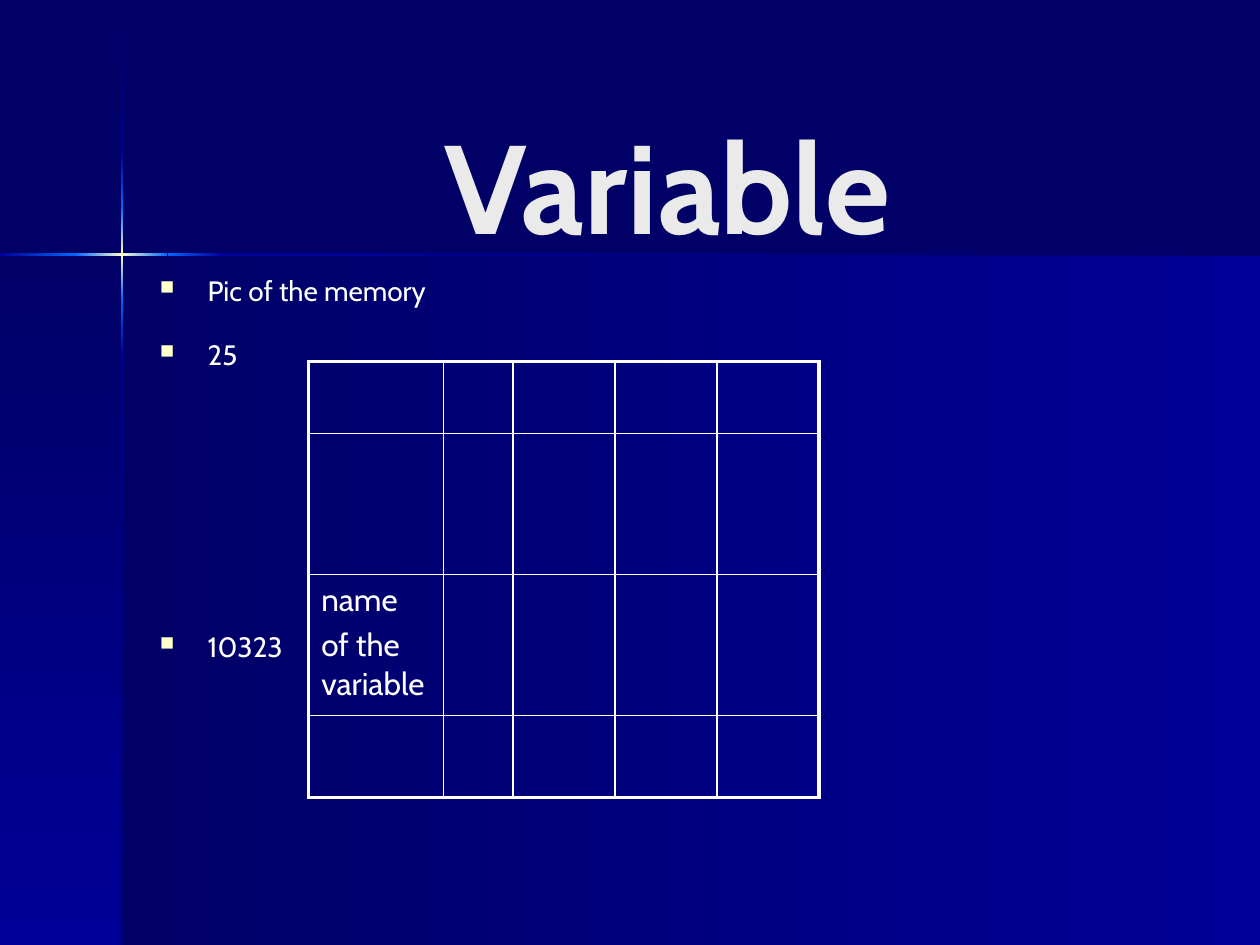
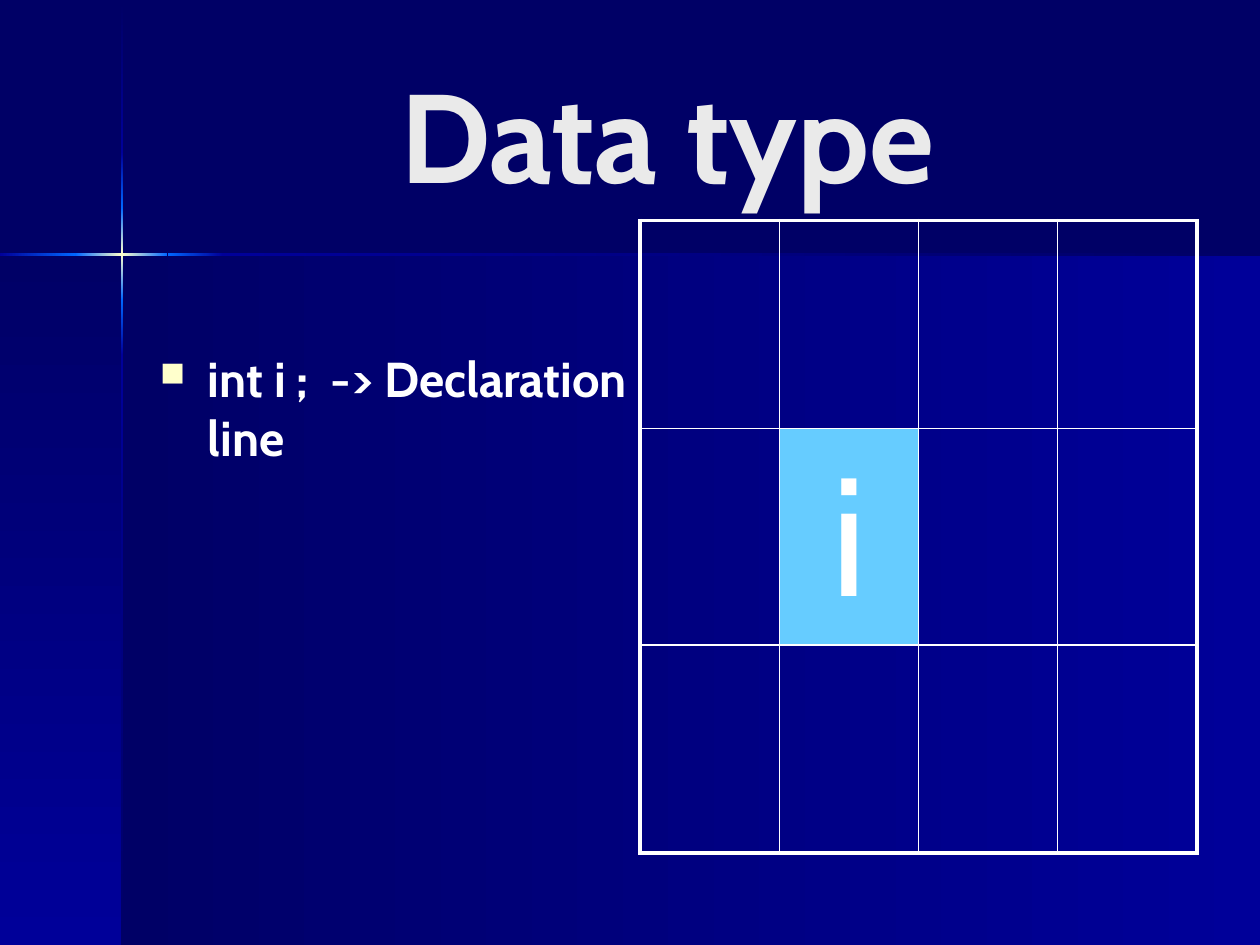
from lxml import etree
from pptx import Presentation
from pptx.dml.color import RGBColor
from pptx.enum.shapes import MSO_SHAPE
from pptx.enum.text import MSO_ANCHOR, PP_ALIGN
from pptx.oxml.ns import qn
from pptx.util import Inches, Pt

RECTANGLE = MSO_SHAPE.RECTANGLE
MIDDLE = MSO_ANCHOR.MIDDLE
CENTER = PP_ALIGN.CENTER
LEFT = PP_ALIGN.LEFT

NAVY = RGBColor(0x00, 0x00, 0x66)
BLUE = RGBColor(0x00, 0x00, 0x99)
BRIGHT = RGBColor(0x00, 0x66, 0xFF)
CREAM = RGBColor(0xFF, 0xFF, 0xCC)
SKY = RGBColor(0x66, 0xCC, 0xFF)
WHITE = RGBColor(0xFF, 0xFF, 0xFF)
TITLE_GREY = RGBColor(0xEA, 0xEA, 0xEA)

FONT = "Cabin"
BLANK_LAYOUT = 6
ACROSS, DOWN = 0, 90
OUTER_LINE, INNER_LINE = 2.25, 1
RAY_WIDTH = 0.02
VERTICAL_RAY = [
    (0.01, 1.21, (NAVY, BLUE)),
    (1.21, 1.65, (BLUE, BRIGHT)),
    (1.65, 2.38, (BRIGHT, CREAM, BRIGHT)),
    (2.38, 2.82, (BRIGHT, BLUE)),
    (2.82, 7.5, (BLUE, NAVY)),
]
HORIZONTAL_RAY = [
    (0, 0.6, (BLUE, BRIGHT)),
    (0.6, 1.33, (BRIGHT, CREAM, BRIGHT)),
    (1.33, 1.77, (BRIGHT, BLUE)),
    (1.77, 10, (BLUE, NAVY)),
]


def add_color(parent, color):
    """Append an RGB colour element to an XML parent."""
    etree.SubElement(parent, qn("a:srgbClr"), val=str(color))


def add_gradient_band(slide, left, top, width, height, colors, angle):
    """Draw a borderless rectangle with evenly spaced gradient colours."""
    band = slide.shapes.add_shape(
        RECTANGLE, Inches(left), Inches(top), Inches(width), Inches(height))
    band.shadow.inherit = False
    band.line.fill.background()
    band.fill.gradient()
    gradient = band._element.spPr.find(qn("a:gradFill"))
    stops = gradient.find(qn("a:gsLst"))
    for stop in list(stops):
        stops.remove(stop)
    for index, color in enumerate(colors):
        position = 100000 * index // (len(colors) - 1)
        add_color(etree.SubElement(stops, qn("a:gs"), pos=str(position)), color)
    gradient.find(qn("a:lin")).set("ang", str(angle * 60000))


def add_backdrop(slide):
    """Draw the panels and the crossing rays of light."""
    slide.background.fill.solid()
    slide.background.fill.fore_color.rgb = NAVY
    add_gradient_band(slide, 0.97, 2.02, 9.03, 5.48, (NAVY, BLUE), ACROSS)
    add_gradient_band(slide, 0, 2.02, 0.97, 5.48, (NAVY, BLUE), DOWN)
    for start, end, colors in VERTICAL_RAY:
        add_gradient_band(slide, 0.96, start, RAY_WIDTH, end - start, colors, DOWN)
    for start, end, colors in HORIZONTAL_RAY:
        add_gradient_band(slide, start, 2.01, end - start, RAY_WIDTH, colors, ACROSS)


def format_paragraph(paragraph, size, color=WHITE, bold=False, alignment=LEFT):
    """Set the alignment and the font of a paragraph's runs."""
    paragraph.alignment = alignment
    for run in paragraph.runs:
        run.font.name = FONT
        run.font.size = Pt(size)
        run.font.bold = bold
        run.font.color.rgb = color


def add_text_frame(slide, left, top, width, height):
    """Add a wrapping text box and return its text frame."""
    box = slide.shapes.add_textbox(
        Inches(left), Inches(top), Inches(width), Inches(height))
    box.text_frame.word_wrap = True
    return box.text_frame


def add_title(slide, text, top):
    """Add the large centred slide title."""
    text_frame = add_text_frame(slide, 1.17, top, 8.25, 1.57)
    text_frame.vertical_anchor = MIDDLE
    text_frame.text = text
    format_paragraph(text_frame.paragraphs[0], 72, TITLE_GREY, True, CENTER)


def add_bullet(paragraph):
    """Give a paragraph a hanging indent and a cream square bullet."""
    properties = paragraph._p.get_or_add_pPr()
    properties.set("marL", str(Inches(0.38)))
    properties.set("indent", str(-Inches(0.38)))
    add_color(etree.SubElement(properties, qn("a:buClr")), CREAM)
    etree.SubElement(properties, qn("a:buSzPct"), val="70000")
    etree.SubElement(properties, qn("a:buChar"), char="■")


def add_bullets(slide, top, items, size, bold=False, line_spacing=1.0):
    """Add bullets from pairs of text and space before in points."""
    text_frame = add_text_frame(slide, 1.17, top, 4.05, 6.67 - top)
    text_frame.text = "\n".join(text for text, space in items)
    for paragraph, (text, space) in zip(text_frame.paragraphs, items):
        add_bullet(paragraph)
        paragraph.line_spacing = line_spacing
        paragraph.space_before = Pt(space)
        format_paragraph(paragraph, size, bold=bold)


def set_cell_borders(cell, widths):
    """Draw white borders of the given widths: left, right, top, bottom."""
    properties = cell._tc.get_or_add_tcPr()
    for index, (side, width) in enumerate(zip("LRTB", widths)):
        line = etree.Element(qn(f"a:ln{side}"), w=str(Pt(width)))
        add_color(etree.SubElement(line, qn("a:solidFill")), WHITE)
        properties.insert(index, line)


def add_memory_grid(slide, left, top, column_widths, row_heights):
    """Add a transparent table with a thick frame and return it."""
    table = slide.shapes.add_table(
        len(row_heights), len(column_widths), Inches(left), Inches(top),
        Inches(sum(column_widths)), Inches(sum(row_heights))).table
    table.first_row = False
    table.horz_banding = False
    for column, width in zip(table.columns, column_widths):
        column.width = Inches(width)
    for row, height in zip(table.rows, row_heights):
        row.height = Inches(height)
    last_row, last_column = len(row_heights) - 1, len(column_widths) - 1
    for row_index, row in enumerate(table.rows):
        for column_index, cell in enumerate(row.cells):
            cell.fill.background()
            on_frame = (column_index == 0, column_index == last_column,
                        row_index == 0, row_index == last_row)
            set_cell_borders(
                cell, [OUTER_LINE if edge else INNER_LINE for edge in on_frame])
    return table


def fill_cell(cell, text, size, alignment=LEFT):
    """Write text in a cell, with a small gap between paragraphs."""
    cell.text = text
    for index, paragraph in enumerate(cell.text_frame.paragraphs):
        paragraph.space_before = Pt(4 if index else 0)
        format_paragraph(paragraph, size, alignment=alignment)


def add_slide(presentation, title, title_top):
    """Add a slide with the shared backdrop and a title."""
    slide = presentation.slides.add_slide(
        presentation.slide_layouts[BLANK_LAYOUT])
    add_backdrop(slide)
    add_title(slide, title, title_top)
    return slide


def build_variable_slide(presentation):
    """Show a named variable in a map of the memory."""
    slide = add_slide(presentation, "Variable", 0.68)
    items = [("Pic of the memory", 0), ("25", 21.6), ("10323", 151.4)]
    add_bullets(slide, 2.17, items, 16, line_spacing=0.8)
    grid = add_memory_grid(
        slide, 2.45, 2.87, [1.07, 0.55] + [0.81] * 3, [0.57, 1.12, 1.12, 0.65])
    fill_cell(grid.cell(2, 0), "name\nof the variable", 18)


def build_data_type_slide(presentation):
    """Show a declaration and the memory cell it reserves."""
    slide = add_slide(presentation, "Data type", 0.27)
    add_bullets(slide, 2.72, [("int i ;  -> Declaration line", 0)], 28, bold=True)
    grid = add_memory_grid(slide, 5.08, 1.75, [1.105] * 4, [1.65, 1.72, 1.65])
    reserved_cell = grid.cell(1, 1)
    reserved_cell.fill.solid()
    reserved_cell.fill.fore_color.rgb = SKY
    fill_cell(reserved_cell, "i", 96, CENTER)


def main():
    """Build both slides and save the presentation."""
    presentation = Presentation()
    presentation.slide_width = Inches(10)
    presentation.slide_height = Inches(7.5)
    build_variable_slide(presentation)
    build_data_type_slide(presentation)
    presentation.save("out.pptx")


if __name__ == "__main__":
    main()
